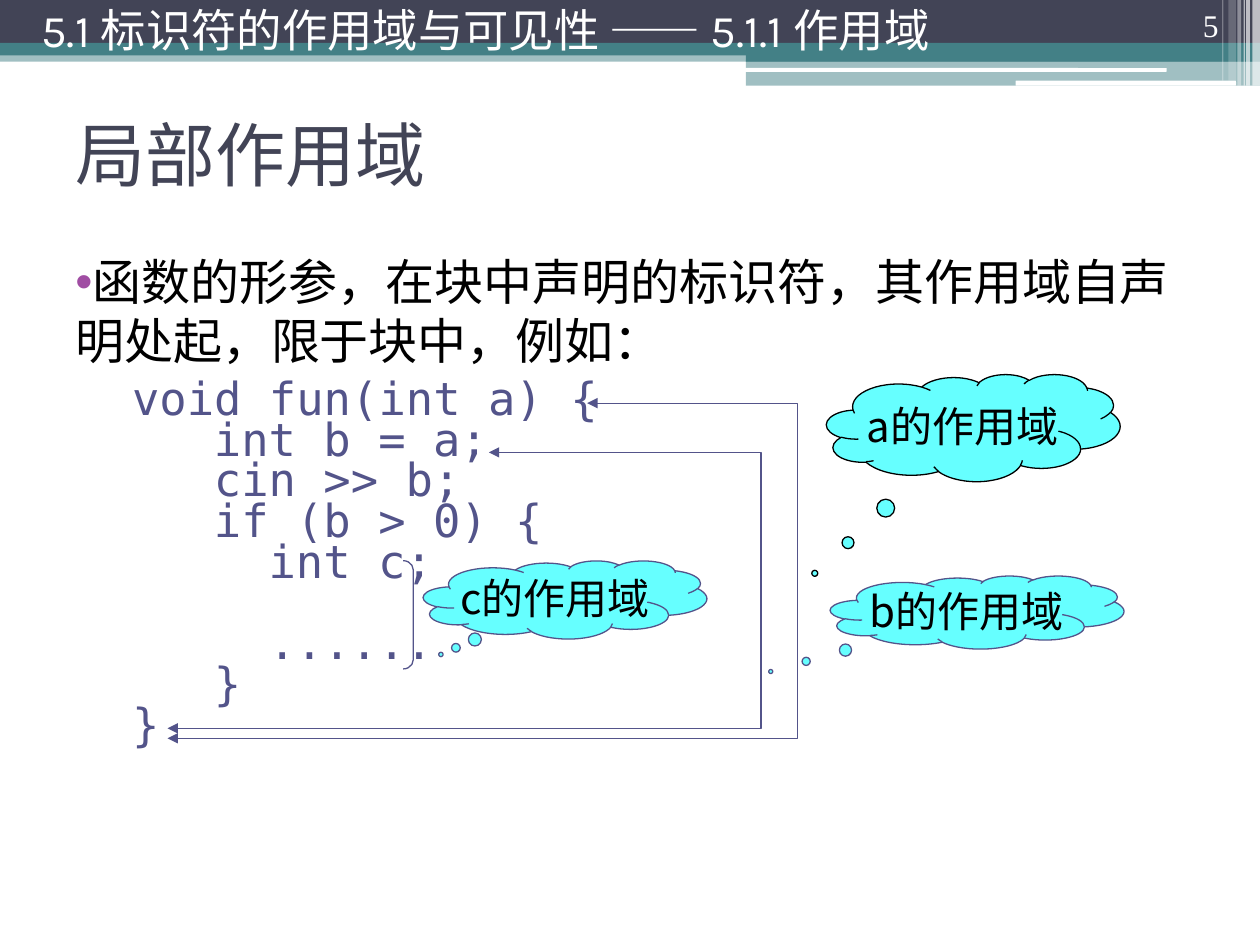
import pptx
import pptx.util
import pptx.dml.color
import pptx.enum.shapes
import pptx.enum.text
import pptx.oxml
import pptx.oxml.ns

Inches, Pt = pptx.util.Inches, pptx.util.Pt
SHAPE = pptx.enum.shapes.MSO_SHAPE
ALIGN = pptx.enum.text.PP_ALIGN
ANCHOR = pptx.enum.text.MSO_ANCHOR

THEME = {
    "navy": "424456", "teal": "438086", "white": "FFFFFF", "black": "000000",
    "indigo": "53548A", "purple": "A04DA3", "cyan": "66FFFF",
    "heading_font": "Karla", "code_font": "DejaVu Sans Mono",
    "number_font": "Times New Roman", "cloud_font": "Noto Sans CJK SC",
    "title": 40, "body": 28, "code": 26, "header": 25.9, "cloud": 24, "number": 18,
    "line": 0.75,
}

# left, top, width, height, colour, opacity in percent
BANDS = [
    (0, 0.4, 10, 0.09, "teal", 50),
    (0, 0, 10, 0.34, "navy", 100),
    (0, 0.34, 10, 0.1, "teal", 100),
    (5.92, 0.39, 4.08, 0.1, "teal", 100),
    (5.92, 0.48, 4.08, 0.2, "teal", 50),
]
ROUNDED_BARS = [
    (5.91, 0.54, 3.35, 0.03, "white", 100),
    (8.06, 0.64, 1.75, 0.04, "white", 100),
]
STRIPES = [
    (9.94, 0, 0.06, 0.68, "white", 65),
    (9.89, 0, 0.03, 0.68, "white", 65),
    (9.87, 0, 0.01, 0.68, "white", 60),
    (9.82, 0, 0.03, 0.68, "white", 40),
    (9.75, 0, 0.06, 0.64, "white", 20),
    (9.7, 0, 0.01, 0.64, "white", 30),
]

HEADER = "5.1 标识符的作用域与可见性 —— 5.1.1 作用域"
TITLE = "局部作用域"
PAGE_NUMBER = "5"
STATEMENT = "函数的形参，在块中声明的标识符，其作用域自声明处起，限于块中，例如："
# indent in characters, code, space before in points
CODE = [
    (0, "void fun(int a) {", 3),
    (3, "int b = a;", 3),
    (3, "cin >> b;", 3),
    (3, "if (b > 0) {", 3),
    (5, "int c;", 3),
    (5, "......", 26.4),
    (3, "}", 3),
    (0, "}", 3),
]
CODE_LEFT = 0.45
CHARACTER_WIDTH = 0.6 * THEME["code"] / 72

# text, box, tail position, outline
CLOUDS = [
    ("c的作用域", (3.36, 4.45, 2.25, 0.62), (-0.438, 0.7), "indigo"),
    ("a的作用域", (6.56, 2.97, 2.33, 0.85), (-0.54, 1.359), "black"),
    ("b的作用域", (6.59, 4.57, 2.33, 0.58), (-0.703, 0.81), "indigo"),
]
BRACKET = (3.2, 4.45, 0.08, 0.86)
# start x, top, right edge, bottom
SCOPE_ARROWS = [(4.66, 3.2, 6.33, 5.86), (3.88, 3.59, 6.04, 5.78)]
ARROW_END = 1.33


def color(name):
    return pptx.dml.color.RGBColor.from_string(THEME[name])


def apply_format(target, values):
    for name, value in values.items():
        setattr(target, name, value)


def add_text(paragraph, text, size, font, color_name):
    run = paragraph.add_run()
    run.text = text
    apply_format(run.font, {"size": Pt(THEME[size]), "name": THEME[font]})
    run.font.color.rgb = color(color_name)
    return run


def add_text_frame(slide, box, anchor):
    frame = slide.shapes.add_textbox(*map(Inches, box)).text_frame
    apply_format(frame, {"word_wrap": True, "vertical_anchor": anchor})
    return frame


def add_element(parent, tag, **attributes):
    element = pptx.oxml.parse_xml(f"<a:{tag} {pptx.oxml.ns.nsdecls('a')}/>")
    for name, value in attributes.items():
        element.set(name, str(value))
    parent.append(element)


def add_filled_shape(slide, kind, box, fill, opacity=100):
    shape = slide.shapes.add_shape(kind, *map(Inches, box))
    shape.shadow.inherit = False
    shape.fill.solid()
    shape.fill.fore_color.rgb = color(fill)
    shape.line.fill.background()
    if opacity < 100:
        fill_color = shape.fill._xPr.find(".//" + pptx.oxml.ns.qn("a:srgbClr"))
        add_element(fill_color, "alpha", val=opacity * 1000)
    return shape


def set_outline(shape, color_name):
    shape.line.color.rgb = color(color_name)
    shape.line.width = Pt(THEME["line"])


def add_cloud(slide, text, box, tail, outline):
    shape = add_filled_shape(slide, SHAPE.CLOUD_CALLOUT, box, "cyan")
    set_outline(shape, outline)
    for index, value in enumerate(tail):
        shape.adjustments[index] = value
    frame = shape.text_frame
    apply_format(frame, {"word_wrap": False, "vertical_anchor": ANCHOR.MIDDLE})
    paragraph = frame.paragraphs[0]
    paragraph.alignment = ALIGN.CENTER
    run = add_text(paragraph, text, "cloud", "cloud_font", "black")
    add_element(run.font._element, "ea", typeface=THEME["cloud_font"])


def add_bracket(slide):
    shape = slide.shapes.add_shape(SHAPE.RIGHT_BRACKET, *map(Inches, BRACKET))
    shape.shadow.inherit = False
    shape.fill.background()
    shape.adjustments[0] = 0.917
    set_outline(shape, "indigo")


def add_scope_arrow(slide, start, top, right, bottom):
    """Join the first and last line of a scope with a two-headed path."""
    builder = slide.shapes.build_freeform(Inches(start), Inches(top))
    corners = [(right, top), (right, bottom), (ARROW_END, bottom)]
    builder.add_line_segments([tuple(map(Inches, corner)) for corner in corners], close=False)
    shape = builder.convert_to_shape()
    shape.shadow.inherit = False
    shape.fill.background()
    set_outline(shape, "indigo")
    for end in ("headEnd", "tailEnd"):
        add_element(shape.line._get_or_add_ln(), end, type="triangle", w="med", len="med")


def add_body(slide):
    frame = add_text_frame(slide, (0.5, 1.95, 9, 5.24), ANCHOR.TOP)
    paragraph = frame.paragraphs[0]
    apply_format(paragraph, {"space_before": Pt(3), "space_after": Pt(7)})
    properties = paragraph._p.get_or_add_pPr()
    apply_format(properties, {"marL": Inches(0.4), "indent": Inches(-0.28)})
    add_element(properties, "buClr")
    add_element(properties[-1], "srgbClr", val=THEME["purple"])
    add_element(properties, "buFont", typeface="Arial")
    add_element(properties, "buChar", char="•")
    add_text(paragraph, STATEMENT, "body", "code_font", "black")
    for indent, code, space in CODE:
        paragraph = frame.add_paragraph()
        apply_format(paragraph, {"line_spacing": 0.65, "space_before": Pt(space)})
        left = Inches(CODE_LEFT + indent * CHARACTER_WIDTH)
        paragraph._p.get_or_add_pPr().set("marL", str(left))
        add_text(paragraph, code, "code", "code_font", "indigo")


def main():
    presentation = pptx.Presentation()
    apply_format(presentation, {"slide_width": Inches(10), "slide_height": Inches(7.5)})
    slide = presentation.slides.add_slide(presentation.slide_layouts[6])

    for kind, bars in [(SHAPE.RECTANGLE, BANDS), (SHAPE.ROUNDED_RECTANGLE, ROUNDED_BARS),
                       (SHAPE.RECTANGLE, STRIPES)]:
        for *box, fill, opacity in bars:
            add_filled_shape(slide, kind, box, fill, opacity)

    title = add_text_frame(slide, (0.5, 0.63, 9, 1.17), ANCHOR.MIDDLE)
    add_text(title.paragraphs[0], TITLE, "title", "heading_font", "navy")
    add_body(slide)
    number = add_text_frame(slide, (8.94, 0, 0.83, 0.4), ANCHOR.BOTTOM).paragraphs[0]
    number.alignment = ALIGN.RIGHT
    add_text(number, PAGE_NUMBER, "number", "number_font", "white")
    header = add_text_frame(slide, (0.23, 0, 7.81, 0.47), ANCHOR.MIDDLE)
    add_text(header.paragraphs[0], HEADER, "header", "heading_font", "white")

    add_bracket(slide)
    for arrow in SCOPE_ARROWS:
        add_scope_arrow(slide, *arrow)
    for cloud in CLOUDS:
        add_cloud(slide, *cloud)
    presentation.save("out.pptx")


if __name__ == "__main__":
    main()
